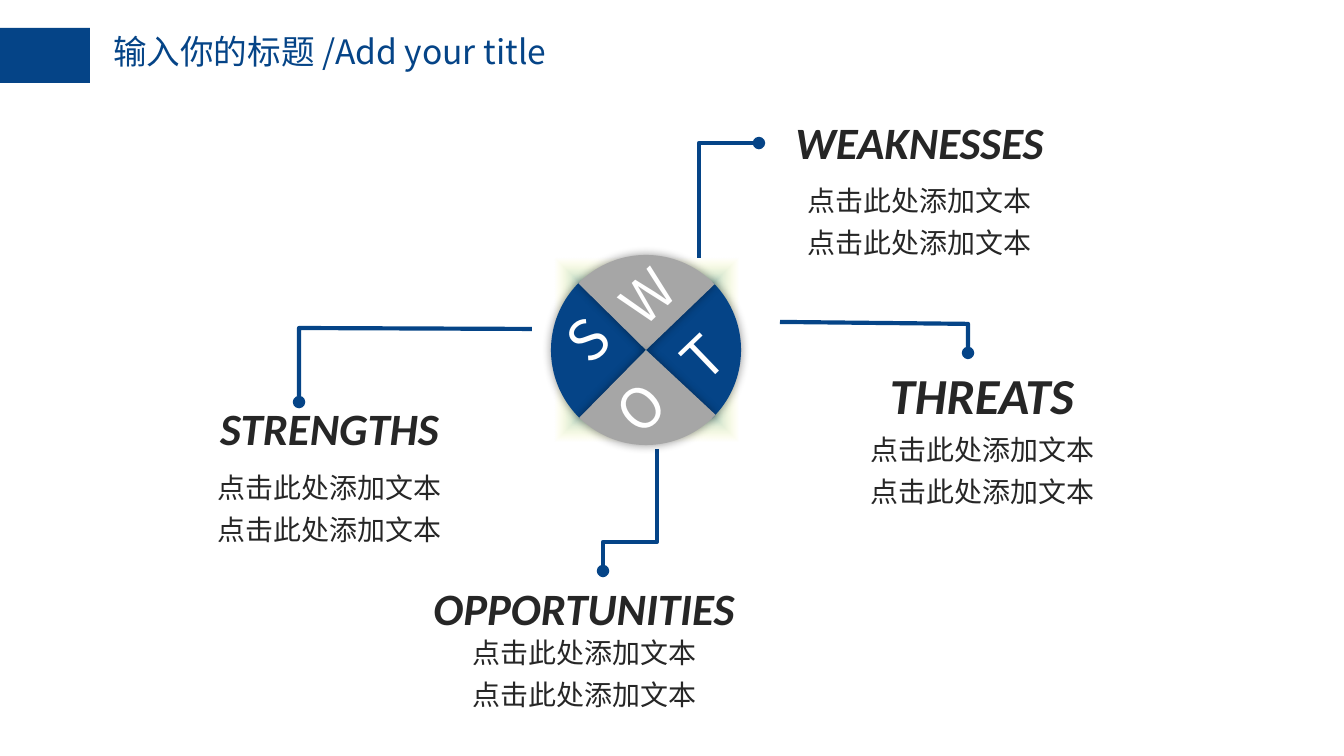
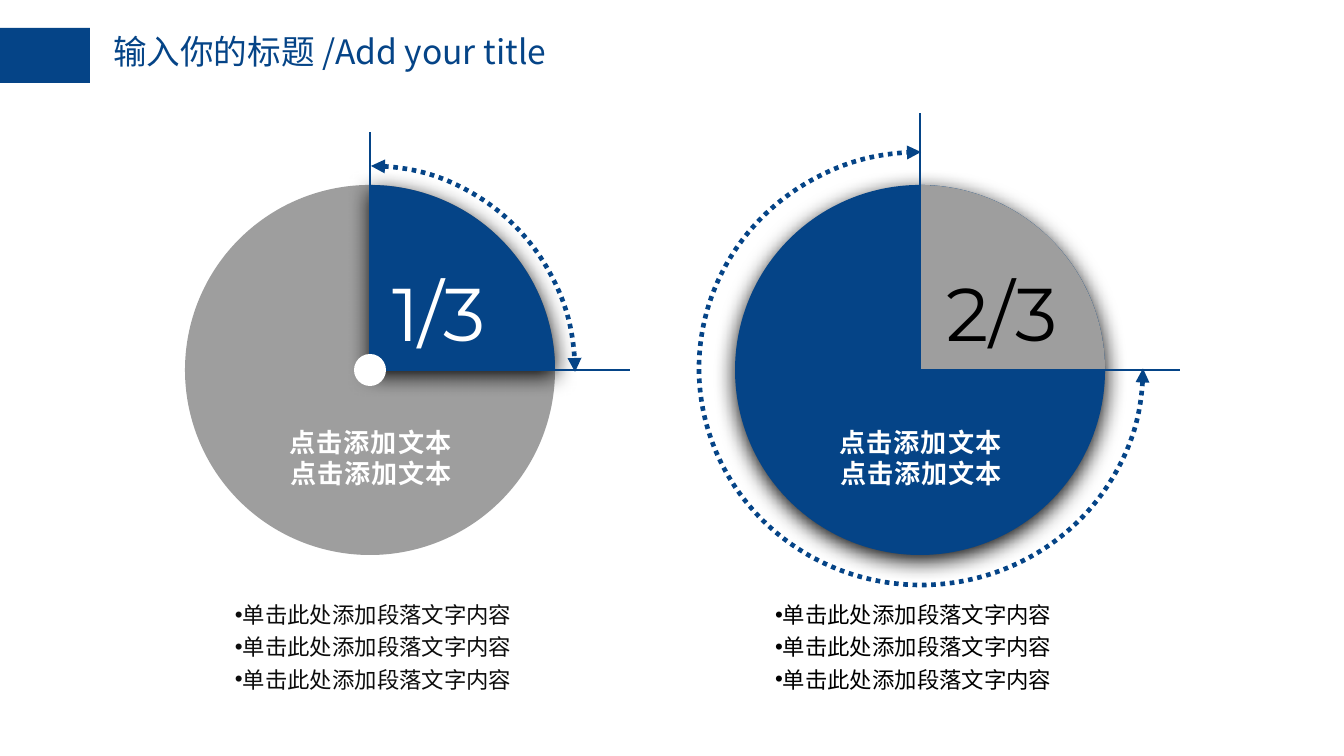
from dataclasses import dataclass

from lxml.etree import SubElement
from pptx import Presentation
from pptx.dml.color import RGBColor
from pptx.enum.dml import MSO_LINE
from pptx.enum.shapes import MSO_CONNECTOR, MSO_SHAPE
from pptx.enum.text import MSO_ANCHOR, MSO_AUTO_SIZE, PP_ALIGN
from pptx.oxml import parse_xml
from pptx.oxml.ns import nsdecls, qn
from pptx.util import Pt

SCALE = 914400 / 134.4
PAGE_WIDTH, PAGE_HEIGHT = 1344, 756
BLUE = RGBColor(0x05, 0x44, 0x87)
SILVER = RGBColor(0xA6, 0xA6, 0xA6)
GRAY = RGBColor(0x9E, 0x9E, 0x9E)
WHITE = RGBColor(0xFF, 0xFF, 0xFF)
BLACK = RGBColor(0x00, 0x00, 0x00)
INK = RGBColor(0x26, 0x26, 0x26)
LIST_INK = RGBColor(0x0D, 0x0D, 0x0D)
SANS, HEADING, NUMERAL, LIST_FONT = "Noto Sans CJK SC", "Calibri", "Montserrat", "Arial"

TITLE = "输入你的标题 /Add your title"
SWOT_LINE = "点击此处添加文本"
DIAL_LABEL = "点击添加文本点击添加文本"
LIST_ITEM = "单击此处添加段落文字内容"
SOFT_SHADOW = (40, 5, 0, 0)
DEEP_SHADOW = (96, 12, 3, 90)


@dataclass
class Dial:
    """The settings in which the two dials differ."""
    left: int
    ratio: str
    disc_color: RGBColor
    wedge_color: RGBColor
    ratio_color: RGBColor
    list_color: RGBColor
    disc_shadow: tuple
    wedge_shadow: tuple
    arc_box: tuple
    arc_angles: tuple
    axis_top: int
    ratio_left: int
    list_left: int
    has_hub: bool


DIALS = [
    Dial(185, "1/3", GRAY, BLUE, WHITE, LIST_INK, None, DEEP_SHADOW,
         (-18, -19, 408, 412), (270, 0), -53, 195, 38, True),
    Dial(735, "2/3", BLUE, GRAY, BLACK, BLACK, DEEP_SHADOW, None,
         (-36, -33, 444, 433), (0, 270), -72, 200, 28, False),
]


def px(*lengths):
    """Turn pixel lengths into EMU."""
    return [round(length * SCALE) for length in lengths]


def place(shape, left, top, width, height):
    """Move a shape to a pixel box."""
    shape.left, shape.top, shape.width, shape.height = px(left, top, width, height)


def style_paragraph(para, size, color, font, bold=False, italic=False,
                    align=PP_ALIGN.LEFT, spacing=None, tracking=None):
    """Format one paragraph, East Asian text included."""
    para.alignment = align
    para.space_before = para.space_after = Pt(0)
    if spacing:
        para.line_spacing = spacing
    style = para.font
    style.size, style.bold, style.italic, style.name = Pt(size), bold, italic, font
    style.color.rgb = color
    properties = para._p.pPr.find(qn("a:defRPr"))
    SubElement(properties, qn("a:ea")).set("typeface", font)
    if tracking:
        properties.set("spc", str(tracking))


def prepare_frame(frame, anchor=MSO_ANCHOR.TOP):
    """Give a text frame the shared margins and wrapping."""
    frame.auto_size = MSO_AUTO_SIZE.NONE
    frame.word_wrap = True
    frame.vertical_anchor = anchor
    frame.margin_left, frame.margin_right, frame.margin_top, frame.margin_bottom = px(12, 12, 6, 6)


def add_text(page, box, lines, anchor=MSO_ANCHOR.TOP, **style):
    """Add a text box with one paragraph per line."""
    label = page.shapes.add_textbox(*px(*box))
    prepare_frame(label.text_frame, anchor)
    label.text_frame.text = "\n".join(lines)
    for para in label.text_frame.paragraphs:
        style_paragraph(para, **style)
    return label


def add_filled(page, kind, box, color, shadow=None, angles=None):
    """Add a filled preset shape, with its angles and shadow if given."""
    shape = page.shapes.add_shape(kind, *px(*box))
    shape.fill.solid()
    shape.fill.fore_color.rgb = color
    shape.line.fill.background()
    shape.shadow.inherit = False
    for index, angle in enumerate(angles or ()):
        shape.adjustments[index] = angle * 0.6
    if shadow:
        alpha, blur, distance, direction = shadow
        effects = shape._element.spPr.find(qn("a:effectLst"))
        effects.append(parse_xml(
            f'<a:outerShdw {nsdecls("a")} blurRad="{Pt(blur)}" dist="{Pt(distance)}" '
            f'dir="{direction * 60000}" rotWithShape="0"><a:srgbClr val="000000">'
            f'<a:alpha val="{alpha * 1000}"/></a:srgbClr></a:outerShdw>'))
    return shape


def style_outline(shape, width, head=None, tail=None):
    """Leave a shape unfilled and give it a blue line with ends."""
    shape.fill.background()
    shape.shadow.inherit = False
    shape.line.color.rgb = BLUE
    shape.line.width = Pt(width)
    line = shape._element.spPr.find(qn("a:ln"))
    for tag, kind in (("a:headEnd", head), ("a:tailEnd", tail)):
        if kind:
            SubElement(line, qn(tag)).set("type", kind)


def add_leader(page, points):
    """Draw a bent line that ends in a dot."""
    builder = page.shapes.build_freeform(*points[0], scale=SCALE)
    builder.add_line_segments(points[1:], close=False)
    style_outline(builder.convert_to_shape(), 2.25, tail="oval")


def add_axis(page, start, end):
    """Draw a straight blue line."""
    axis = page.shapes.add_connector(MSO_CONNECTOR.STRAIGHT, *px(*start, *end))
    axis.line.color.rgb = BLUE
    axis.line.width = Pt(1.5)
    SubElement(axis._element.spPr, qn("a:effectLst"))


def add_page(deck, layout):
    """Add a slide with the title and the blue band."""
    page = deck.slides.add_slide(deck.slide_layouts[layout])
    add_filled(page, MSO_SHAPE.RECTANGLE, (0, 28, 90, 55), BLUE)
    title = page.shapes.title
    place(title, 101, 28, 560, 95)
    title.text_frame.text = TITLE
    prepare_frame(title.text_frame)
    title.text_frame.margin_top = px(3)[0]
    style_paragraph(title.text_frame.paragraphs[0], 18, BLUE, SANS)
    return page


def add_glow(page, box):
    """Add the fading glow behind the wheel."""
    glow = page.shapes.add_shape(MSO_SHAPE.OVAL, *px(*box))
    glow.fill.background()
    glow.line.fill.background()
    glow.shadow.inherit = False
    properties = glow._element.spPr
    properties.replace(properties.find(qn("a:noFill")), parse_xml(
        f'<a:gradFill {nsdecls("a")}><a:gsLst>'
        '<a:gs pos="15000"><a:srgbClr val="00B0F0"/></a:gs>'
        '<a:gs pos="31000"><a:srgbClr val="0070C0"/></a:gs>'
        '<a:gs pos="63000"><a:srgbClr val="FFFB6C"><a:alpha val="0"/></a:srgbClr></a:gs>'
        '</a:gsLst><a:path path="shape">'
        '<a:fillToRect l="50000" t="50000" r="50000" b="50000"/></a:path></a:gradFill>'))


def add_wheel(page, left, top, size):
    """Draw the four lettered sectors of the wheel."""
    sectors = [
        ("S", 315.6, BLUE, 1, 43),
        ("T", 136.1, BLUE, 116, 61),
        ("W", 46.2, SILVER, 59, 0),
        ("O", 224.6, SILVER, 54, 111),
    ]
    for letter, turn, color, letter_left, letter_top in sectors:
        sector = add_filled(page, MSO_SHAPE.PIE, (left, top, size, size), color,
                            SOFT_SHADOW, (178.38, 270))
        sector.rotation = turn
        label = add_text(page, (left + letter_left, top + letter_top, 71, 82), [letter],
                         MSO_ANCHOR.MIDDLE, size=30, color=WHITE, font=SANS,
                         align=PP_ALIGN.CENTER)
        label.rotation = 316.1


def add_caption(page, heading, center, top, width, size, body_gap):
    """Add a heading with two centred lines below it."""
    add_text(page, (center - width // 2, top, width, 70), [heading], size=size,
             color=INK, font=HEADING, bold=True, italic=True, align=PP_ALIGN.CENTER)
    add_text(page, (center - 126, top + body_gap, 253, 101), [SWOT_LINE] * 2, size=15,
             color=INK, font=SANS, align=PP_ALIGN.CENTER, spacing=Pt(22.5))


def build_swot(deck):
    """Build the slide with the four-part wheel."""
    page = add_page(deck, 5)
    add_glow(page, (501, 204, 292, 292))
    leaders = [
        [(657, 449), (657, 542), (603, 542), (603, 571)],
        [(532, 329), (299, 328), (299, 402)],
        [(780, 322), (968, 324), (968, 353)],
        [(699, 258), (699, 143), (759, 143)],
    ]
    for points in leaders:
        add_leader(page, points)
    add_wheel(page, 551, 255, 190)
    captions = [
        ("STRENGTHS", 329, 395, 301, 24, 61),
        ("WEAKNESSES", 919, 109, 301, 24, 60),
        ("THREATS", 982, 358, 254, 27, 60),
        ("OPPORTUNITIES", 584, 575, 426, 24, 46),
    ]
    for caption in captions:
        add_caption(page, *caption)


def fill_list(holder, box, color):
    """Fill a body placeholder with the three bullet lines."""
    place(holder, *box)
    frame = holder.text_frame
    frame.text = "\n".join([LIST_ITEM] * 3)
    prepare_frame(frame)
    for para in frame.paragraphs:
        properties = para._p.get_or_add_pPr()
        properties.set("marL", "0")
        properties.set("indent", "0")
        SubElement(properties, qn("a:buChar")).set("char", "•")
        style_paragraph(para, 12, color, LIST_FONT, spacing=1.2)


def add_dial(page, dial, holder, top, size):
    """Draw one dial with its wedge, axes, arc, texts and list."""
    left, middle = dial.left, size // 2
    disc = (left, top, size, size)
    center = (left + middle, top + middle)
    add_filled(page, MSO_SHAPE.OVAL, disc, dial.disc_color, dial.disc_shadow)
    add_filled(page, MSO_SHAPE.ARC, disc, dial.wedge_color, dial.wedge_shadow, (270, 0))
    add_axis(page, center, (center[0], top + dial.axis_top))
    add_axis(page, center, (center[0] + 260, center[1]))
    arc_left, arc_top, arc_width, arc_height = dial.arc_box
    arc = add_filled(page, MSO_SHAPE.ARC, (left + arc_left, top + arc_top, arc_width, arc_height),
                     BLUE, angles=dial.arc_angles)
    style_outline(arc, 2.5, head="triangle", tail="triangle")
    arc.line.dash_style = MSO_LINE.ROUND_DOT
    if dial.has_hub:
        add_filled(page, MSO_SHAPE.OVAL, (center[0] - 16, center[1] - 16, 32, 32), WHITE)
    add_text(page, (left + dial.ratio_left, top + 76, 148, 103), [dial.ratio],
             size=40, color=dial.ratio_color, font=NUMERAL)
    add_text(page, (left + 81, top + 236, 210, 77), [DIAL_LABEL], size=14, color=WHITE,
             font=SANS, bold=True, align=PP_ALIGN.CENTER, spacing=Pt(16.5), tracking=50)
    fill_list(holder, (left + dial.list_left, top + 405, 310, 112), dial.list_color)


def build_dials(deck):
    """Build the slide with the two dials."""
    page = add_page(deck, 3)
    for index, dial in enumerate(DIALS, start=1):
        add_dial(page, dial, page.placeholders[index], 185, 370)


def main():
    """Build both slides and save the deck."""
    deck = Presentation()
    deck.slide_width, deck.slide_height = px(PAGE_WIDTH, PAGE_HEIGHT)
    build_swot(deck)
    build_dials(deck)
    deck.save("out.pptx")


if __name__ == "__main__":
    main()
